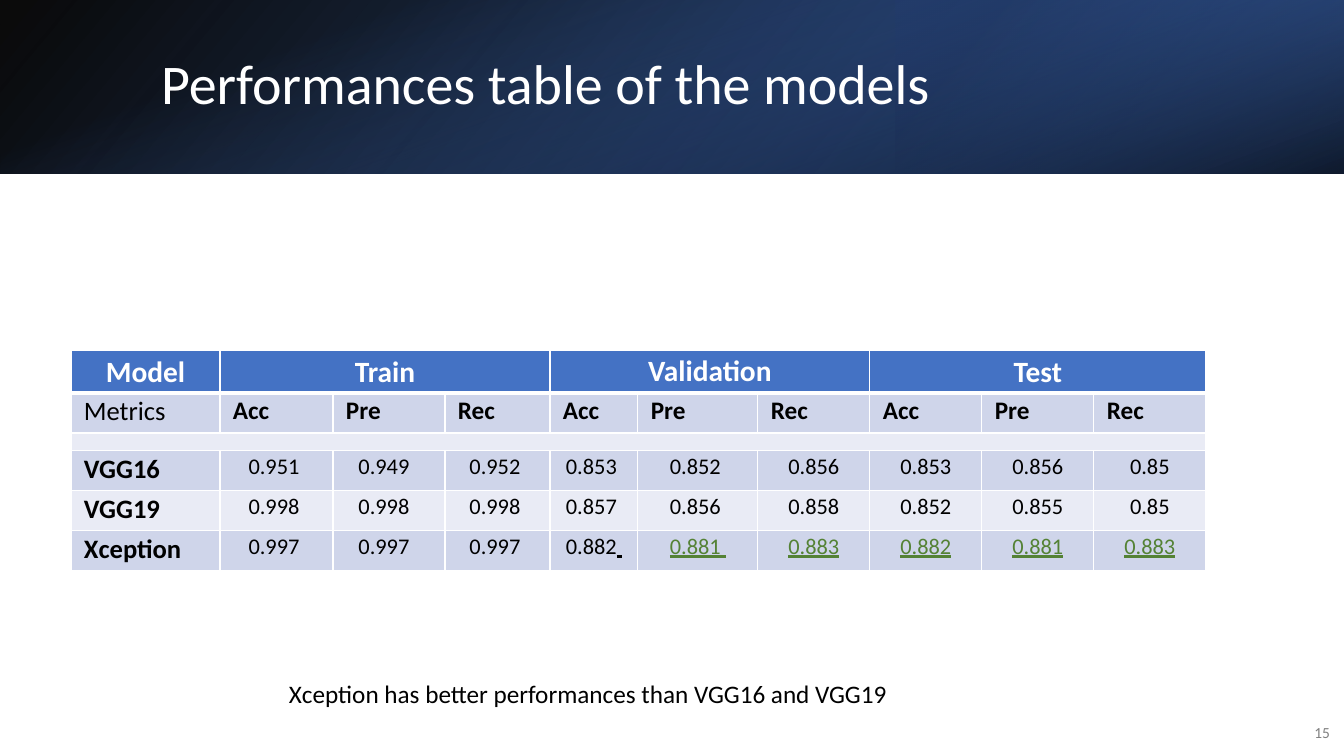
"""Build the slide that compares the performance of three image models."""
import lxml.etree
import pptx
import pptx.dml.color
import pptx.enum.shapes
import pptx.enum.text
import pptx.oxml.ns
import pptx.util

RGB = pptx.dml.color.RGBColor
WHITE = RGB(0xFF, 0xFF, 0xFF)
BLACK = RGB(0x00, 0x00, 0x00)
GRAY = RGB(0x80, 0x80, 0x80)
GREEN = RGB(0x54, 0x82, 0x35)
BLUE = RGB(0x44, 0x72, 0xC4)
DEEP_BLUE = RGB(0x2F, 0x55, 0x97)
NAVY = RGB(0x20, 0x38, 0x64)
BAND_DARK = RGB(0xCF, 0xD5, 0xEA)
BAND_LIGHT = RGB(0xE9, 0xEB, 0xF5)

FONT = "Calibri"
SCALE = 914400 / 100.8
NS = pptx.oxml.ns.nsdecls("a")
ALIGN = pptx.enum.text.PP_ALIGN
ANCHOR = pptx.enum.text.MSO_ANCHOR


def px(length):
    return pptx.util.Emu(round(length * SCALE))


def style(paragraph, size, color, align, bold=False):
    paragraph.alignment = align
    for run in paragraph.runs:
        run.font.name = FONT
        run.font.size = pptx.util.Pt(size)
        run.font.bold = bold
        run.font.color.rgb = color


deck = pptx.Presentation()
deck.slide_width, deck.slide_height = px(1344), px(756)
slide = deck.slides.add_slide(deck.slide_layouts[5])
shapes = slide.shapes

bands = [
    ((0, 0, 1344, 174), 0, True, 140, [(0, BLACK, 96), (100, DEEP_BLUE, 100)]),
    ((896, 0, 448, 174), 180, True, 320, [(19, NAVY, 68), (100, BLUE, 79)]),
    ((585, -585, 174, 1344), 90, False, 340, [(23, BLUE, 0), (99, BLACK, 74)]),
]
for box, rotation, flipped, angle, stops in bands:
    band = shapes.add_shape(pptx.enum.shapes.MSO_SHAPE.RECTANGLE, *map(px, box))
    band.rotation = rotation
    band.shadow.inherit = False
    band.line.fill.background()
    band.fill.background()
    properties = band._element.spPr
    if flipped:
        properties.xfrm.set("flipH", "1")
    stop_xml = "".join(
        f'<a:gs pos="{place * 1000}"><a:srgbClr val="{color}">'
        f'<a:alpha val="{opacity * 1000}"/></a:srgbClr></a:gs>'
        for place, color, opacity in stops
    )
    gradient = pptx.oxml.parse_xml(
        f'<a:gradFill {NS} rotWithShape="1"><a:gsLst>{stop_xml}</a:gsLst>'
        f'<a:lin ang="{angle * 60000}" scaled="0"/></a:gradFill>'
    )
    properties.replace(properties.find(pptx.oxml.ns.qn("a:noFill")), gradient)

title = shapes.title
title.left, title.top, title.width, title.height = map(px, (151, 38, 1107, 97))
title.text_frame.text = "Performances table of the models"
title.text_frame.auto_size = pptx.enum.text.MSO_AUTO_SIZE.NONE
title.text_frame.vertical_anchor = ANCHOR.MIDDLE
title.text_frame.paragraphs[0].line_spacing = 0.9
style(title.text_frame.paragraphs[0], 40, WHITE, ALIGN.LEFT)
shapes._spTree.append(title._element)

metrics = ["Acc", "Pre", "Rec"]
rows = [
    ["Model", "Train", "", "", "Validation", "", "", "Test", "", ""],
    ["Metrics"] + metrics * 3,
    [""] * 10,
    ["VGG16", "0.951", "0.949", "0.952", "0.853", "0.852", "0.856", "0.853", "0.856", "0.85"],
    ["VGG19", "0.998", "0.998", "0.998", "0.857", "0.856", "0.858", "0.852", "0.855", "0.85"],
    ["Xception", "0.997", "0.997", "0.997", "0.882", "0.881 ", "0.883", "0.882", "0.881", "0.883"],
]
widths = [149, 113, 112, 105, 88, 120, 112, 112, 112, 112]
heights = [43, 40, 18, 40, 40, 40]
right_shift = [0, 5, 10, 5, 5, 5, 0, 0, 0, 0]
fills = [BLUE, BAND_DARK, BAND_LIGHT, BAND_DARK, BAND_LIGHT, BAND_DARK]

scores = shapes.add_table(6, 10, px(71), px(350), px(sum(widths)), px(sum(heights))).table
for column, width in zip(scores.columns, widths):
    column.width = px(width)
for row, height in zip(scores.rows, heights):
    row.height = px(height)
for first in (1, 4, 7):
    scores.cell(0, first).merge(scores.cell(0, first + 2))
scores.cell(2, 0).merge(scores.cell(2, 9))

for r, values in enumerate(rows):
    for c, value in enumerate(values):
        cell = scores.cell(r, c)
        cell.fill.solid()
        cell.fill.fore_color.rgb = fills[r]
        cell.margin_left = cell.margin_right = px(13)
        cell.margin_top = cell.margin_bottom = 0
        for position, side in enumerate("LRTB"):
            points = 3 if (r, side) in ((0, "B"), (1, "T")) else 1
            border = pptx.oxml.parse_xml(
                f'<a:ln{side} {NS} w="{points * 12700}"><a:solidFill>'
                f'<a:srgbClr val="{WHITE}"/></a:solidFill></a:ln{side}>'
            )
            cell._tc.tcPr.insert(position, border)
        entry = cell.text_frame.paragraphs[0]
        if not value:
            entry._p.get_or_add_endParaRPr().set("sz", "500")
            continue
        entry.text = value
        if value != "Validation":
            entry.line_spacing = 1.07
            entry.space_after = pptx.util.Pt(8)
        if r == 0:
            cell.vertical_anchor = ANCHOR.MIDDLE
            style(entry, 21, WHITE, ALIGN.CENTER, True)
        elif c == 0:
            style(entry, 19, BLACK, ALIGN.LEFT, r > 1)
        elif r == 1:
            style(entry, 18, BLACK, ALIGN.LEFT, True)
        else:
            best = r == 5 and c > 4
            if r == 5 and c == 4:
                entry.add_run().text = " "
                entry.runs[1].font.underline = True
            elif not best:
                cell.margin_right = px(13 + right_shift[c])
            style(entry, 16, GREEN if best else BLACK, ALIGN.CENTER)
            if best:
                entry.runs[0].font.underline = True

notes = [
    ((1290, 712, 50, 40), "15", 11, GRAY, ALIGN.RIGHT, ANCHOR.MIDDLE),
    ((108, 673, 960, 40), "Xception has better performances than VGG16 and VGG19",
     18, BLACK, ALIGN.CENTER, ANCHOR.TOP),
]
for box, wording, size, color, align, anchor in notes:
    frame = shapes.add_textbox(*map(px, box)).text_frame
    frame.word_wrap = True
    frame.vertical_anchor = anchor
    frame.text = wording
    style(frame.paragraphs[0], size, color, align)

deck.save("out.pptx")
